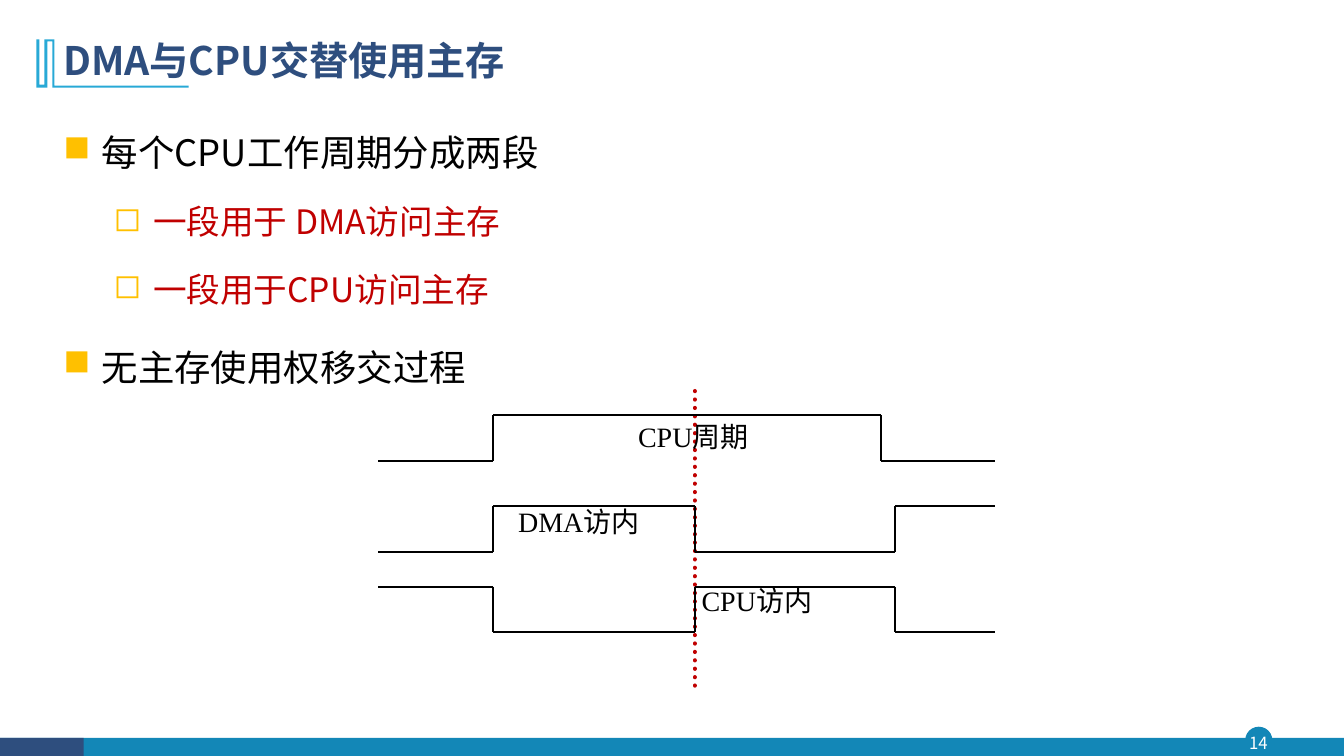
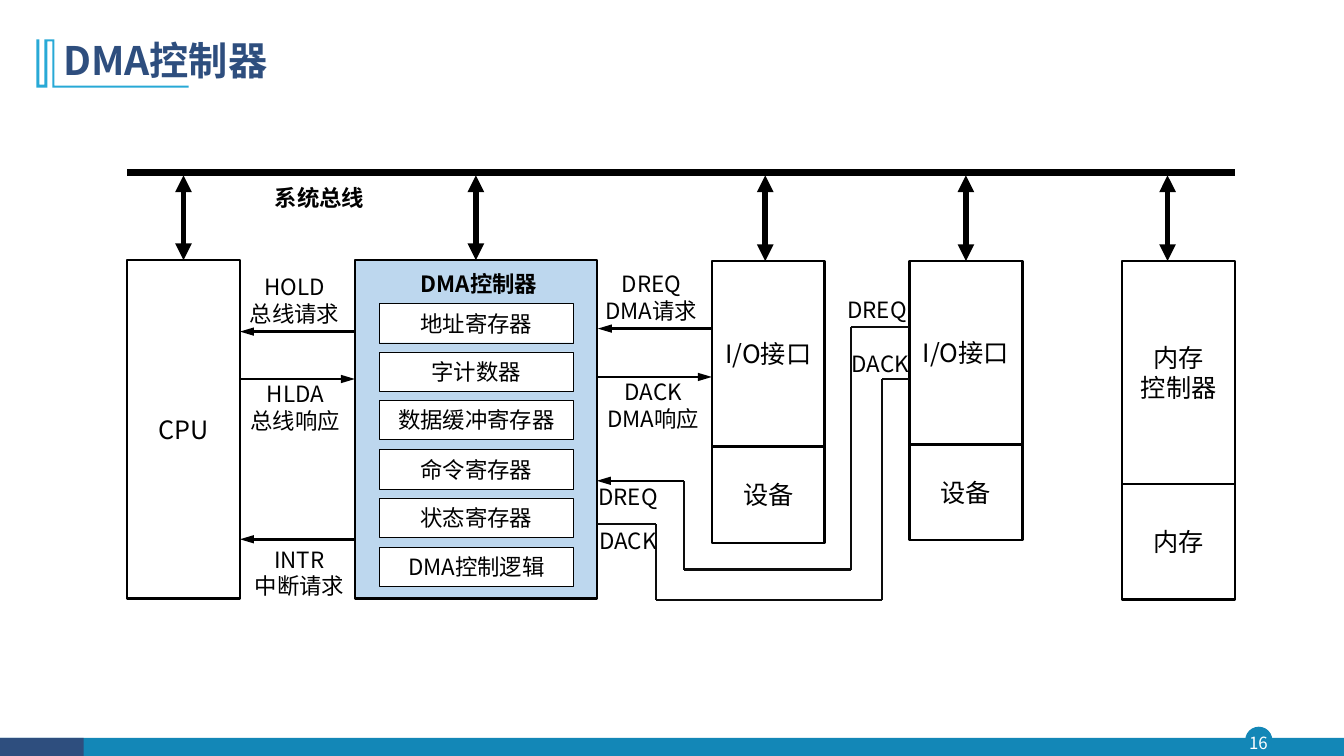
from dataclasses import dataclass
from typing import Any, NamedTuple, Optional

from pptx import Presentation
from pptx import util as u
from pptx.dml.color import RGBColor
from pptx.enum import dml, shapes, text
from pptx.oxml.ns import qn
from lxml import etree

PX = 9144  # EMU in one px: 100 px to the inch

Point = tuple[int, int]


@dataclass(frozen=True)
class Theme:
    font: str = "Noto Sans CJK SC"
    serif: str = "Times New Roman"
    navy: str = "2E4E7E"
    teal: str = "1387B7"
    sky: str = "28A9D6"
    pale: str = "BDD7EE"
    gold: str = "FFC000"
    red: str = "C00000"
    black: str = "000000"
    ink: str = "0D0D0D"
    white: str = "FFFFFF"
    head: int = 28
    main: int = 26
    sub: int = 24
    wave: int = 20
    block: int = 18
    label: int = 16
    page: int = 12


T = Theme()
MID = text.MSO_ANCHOR.MIDDLE
CENTER = text.PP_ALIGN.CENTER
FLAT = dict(margin_left=0, margin_right=0, margin_top=0, margin_bottom=0,
            vertical_anchor=MID, word_wrap=True)


class Box(NamedTuple):
    x: int
    y: int
    w: int
    h: int
    text: str = ""
    fill: str = T.white
    line: float = 1.75
    size: int = T.block


class Tag(NamedTuple):
    x: int  # centre
    y: int
    text: str
    bold: bool = False


class Arrow(NamedTuple):
    tip: Point
    tail: Point


class Item(NamedTuple):
    text: str
    level: int = 0


class Level(NamedTuple):
    mark: str
    size: int
    color: str
    left: int
    hang: int
    gap: int


class Wave(NamedTuple):
    low: int
    high: int
    rises: bool
    turns: tuple[int, ...]


LEVELS = (Level("■", T.main, T.black, 38, 38, 10),
          Level("◻", T.sub, T.red, 89, 39, 5))


def rgb(code: str) -> RGBColor:
    return RGBColor.from_string(code)


def put(obj: Any, **values: Any) -> None:
    for name, value in values.items():
        setattr(obj, name, value)


def write(para: Any, words: str, size: int, color: str = T.black,
          bold: bool = False, font: str = T.font) -> None:
    run = para.add_run()
    run.text = words
    put(run.font, size=u.Pt(size), bold=bold, name=font)
    run.font.color.rgb = rgb(color)
    east = etree.SubElement(run.font._element, qn("a:ea"))
    east.set("typeface", T.font)


def fill_text(frame: Any, words: str, size: int, **look: Any) -> None:
    """Write centred lines into a frame without insets."""
    put(frame, **FLAT)
    for i, line in enumerate(words.split("\n")):
        para = frame.add_paragraph() if i else frame.paragraphs[0]
        para.alignment = CENTER
        write(para, line, size, **look)


def frame_at(slide: Any, x: int, y: int, w: int, h: int) -> Any:
    return slide.shapes.add_textbox(x * PX, y * PX, w * PX, h * PX).text_frame


def paint(shape: Any, fill: str) -> None:
    shape.shadow.inherit = False
    shape.fill.solid()
    shape.fill.fore_color.rgb = rgb(fill)
    shape.line.fill.background()


def plain(slide: Any, kind: Any, x: int, y: int, w: int, h: int,
          fill: str) -> Any:
    shape = slide.shapes.add_shape(kind, x * PX, y * PX, w * PX, h * PX)
    paint(shape, fill)
    return shape


def block(slide: Any, box: Box) -> Any:
    shape = plain(slide, shapes.MSO_SHAPE.RECTANGLE, *box[:4], box.fill)
    shape.line.color.rgb = rgb(T.black)
    shape.line.width = u.Pt(box.line)
    if box.text:
        fill_text(shape.text_frame, box.text, box.size)
    return shape


def tag(slide: Any, item: Tag) -> None:
    high = 27 * (item.text.count("\n") + 1)
    frame = frame_at(slide, item.x - 77, item.y, 154, high)
    fill_text(frame, item.text, T.label, bold=item.bold)


def stroke(slide: Any, start: Point, end: Point, width: float,
           color: str = T.black, tips: tuple[str, ...] = (),
           length: str = "med") -> Any:
    """Draw a straight line; tips lists headEnd (start) and tailEnd (end)."""
    line = slide.shapes.add_connector(
        shapes.MSO_CONNECTOR.STRAIGHT,
        *(n * PX for n in (*start, *end)))
    line.line.color.rgb = rgb(color)
    line.line.width = u.Pt(width)
    pen = line.line._get_or_add_ln()
    for name in tips:
        tip = etree.SubElement(pen, qn(f"a:{name}"))
        for key, value in dict(type="triangle", w="med", len=length).items():
            tip.set(key, value)
    etree.SubElement(line._element.spPr, qn("a:effectLst"))
    return line


def trace(slide: Any, points: list[Point], color: str = T.black) -> None:
    for start, end in zip(points, points[1:]):
        stroke(slide, start, end, 1.5, color)


def base(deck: Any, title: str, page: int) -> Any:
    """Add a slide with the title, its mark and the footer."""
    slide = deck.slides.add_slide(deck.slide_layouts[6])
    rect = shapes.MSO_SHAPE.RECTANGLE
    plain(slide, shapes.MSO_SHAPE.OVAL, 1235, 721, 27, 27, T.teal)
    plain(slide, rect, 0, 732, 1333, 18, T.teal)
    plain(slide, rect, 0, 732, 83, 18, T.navy)
    fill_text(frame_at(slide, 1232, 721, 32, 31), str(page), T.page,
              color=T.white)

    edge = [(54, 85), (187, 85), (187, 87), (52, 87), (52, 41), (47, 41),
            (47, 87), (36, 87), (36, 39), (39, 39), (39, 84), (44, 84),
            (44, 39)]
    mark = slide.shapes.build_freeform(54, 39, scale=PX)
    mark.add_line_segments(edge, close=True)
    paint(mark.convert_to_shape(), T.sky)

    frame = frame_at(slide, 53, 28, 1150, 68)
    put(frame, word_wrap=True, vertical_anchor=MID)
    frame.paragraphs[0].line_spacing = 0.9
    write(frame.paragraphs[0], title, T.head, T.navy, True)
    return slide


def bullets(slide: Any, items: list[Item]) -> None:
    frame = frame_at(slide, 53, 103, 1206, 616)
    frame.word_wrap = True
    for i, item in enumerate(items):
        para = frame.add_paragraph() if i else frame.paragraphs[0]
        level = LEVELS[item.level]
        props = para._p.get_or_add_pPr()
        props.set("marL", str(level.left * PX))
        props.set("indent", str(-level.hang * PX))
        tint = etree.SubElement(props, qn("a:buClr"))
        etree.SubElement(tint, qn("a:srgbClr")).set("val", T.gold)
        etree.SubElement(props, qn("a:buChar")).set("char", level.mark)
        put(para, level=item.level, line_spacing=1.5,
            alignment=text.PP_ALIGN.JUSTIFY,
            space_before=u.Pt(level.gap if i else 0))
        write(para, item.text, level.size, level.color)


def signal(slide: Any, wave: Wave) -> None:
    """Draw a square wave that changes level at each turn."""
    now, other = ((wave.low, wave.high) if wave.rises
                  else (wave.high, wave.low))
    points = [(375, now)]
    for x in wave.turns:
        points += [(x, now), (x, other)]
        now, other = other, now
    trace(slide, points + [(987, now)])


def timing(deck: Any) -> None:
    slide = base(deck, "DMA与CPU交替使用主存", 14)
    bullets(slide, [Item("每个CPU工作周期分成两段"),
                    Item("一段用于 DMA访问主存", 1),
                    Item("一段用于CPU访问主存", 1),
                    Item("无主存使用权移交过程")])
    split = stroke(slide, (689, 388), (689, 682), 3, T.red)
    split.line.dash_style = dml.MSO_LINE.ROUND_DOT
    split.line._get_or_add_ln().set("cap", "rnd")

    for wave in (Wave(457, 412, True, (489, 874)),
                 Wave(548, 502, True, (489, 689, 888)),
                 Wave(627, 582, False, (489, 689, 888))):
        signal(slide, wave)
    for x, y, words in ((623, 411, "CPU周期"), (504, 496, "DMA访内"),
                        (686, 574, "CPU访内")):
        frame = frame_at(slide, x, y, 150, 49)
        frame.word_wrap = False
        write(frame.paragraphs[0], words, T.wave, font=T.serif)


def control(deck: Any) -> None:
    slide = base(deck, "DMA控制器", 16)
    stroke(slide, (126, 171), (1225, 171), 5.5)
    cpu, dma, _, _, port, _, _, _ = [block(slide, box) for box in (
        Box(126, 258, 112, 336, "CPU"),
        Box(352, 258, 240, 336, fill=T.pale),
        Box(706, 259, 112, 184, "I/O接口"),
        Box(706, 443, 112, 96, "设备"),
        Box(902, 259, 112, 182, "I/O接口"),
        Box(902, 441, 112, 95, "设备"),
        Box(1113, 259, 112, 221, "内存\n控制器"),
        Box(1113, 480, 112, 115, "内存"))]

    names = ("地址寄存器", "字计数器", "数据缓冲寄存器", "命令寄存器",
             "状态寄存器", "DMA控制逻辑")
    for i, name in enumerate(names):
        top = 301 + 242 * i // (len(names) - 1)
        block(slide, Box(376, top, 193, 39, name, line=0.25, size=T.label))

    for x, shape in ((182, cpu), (472, dma), (759, None), (958, port),
                     (1158, None)):
        link: Optional[Any] = stroke(slide, (x, 174), (x, 259), 4,
                                     tips=("headEnd", "tailEnd"))
        if shape is not None:
            link.end_connect(shape, 0)

    for arrow in (Arrow((238, 329), (352, 329)), Arrow((352, 376), (238, 376)),
                  Arrow((238, 535), (352, 535)), Arrow((593, 326), (706, 326)),
                  Arrow((706, 374), (593, 374)), Arrow((592, 477), (678, 477))):
        stroke(slide, arrow.tip, arrow.tail, 1.75, tips=("headEnd",),
               length="lg")

    trace(slide, [(678, 477), (678, 565), (844, 565), (844, 324),
                  (902, 324)], T.ink)
    trace(slide, [(902, 376), (875, 376), (875, 595), (651, 595),
                  (651, 520), (592, 520)], T.ink)

    for item in (Tag(317, 183, "系统总线", True),
                 Tag(475, 268, "DMA控制器", True),
                 Tag(292, 271, "HOLD\n总线请求"),
                 Tag(293, 377, "HLDA\n总线响应"),
                 Tag(297, 541, "INTR\n中断请求"),
                 Tag(646, 268, "DREQ\nDMA请求"),
                 Tag(648, 375, "DACK\nDMA响应"),
                 Tag(623, 479, "DREQ"), Tag(623, 523, "DACK"),
                 Tag(870, 294, "DREQ"), Tag(873, 347, "DACK")):
        tag(slide, item)


def main() -> None:
    deck = Presentation()
    put(deck, slide_width=u.Inches(13.33), slide_height=u.Inches(7.5))
    timing(deck)
    control(deck)
    deck.save("out.pptx")


if __name__ == "__main__":
    main()
